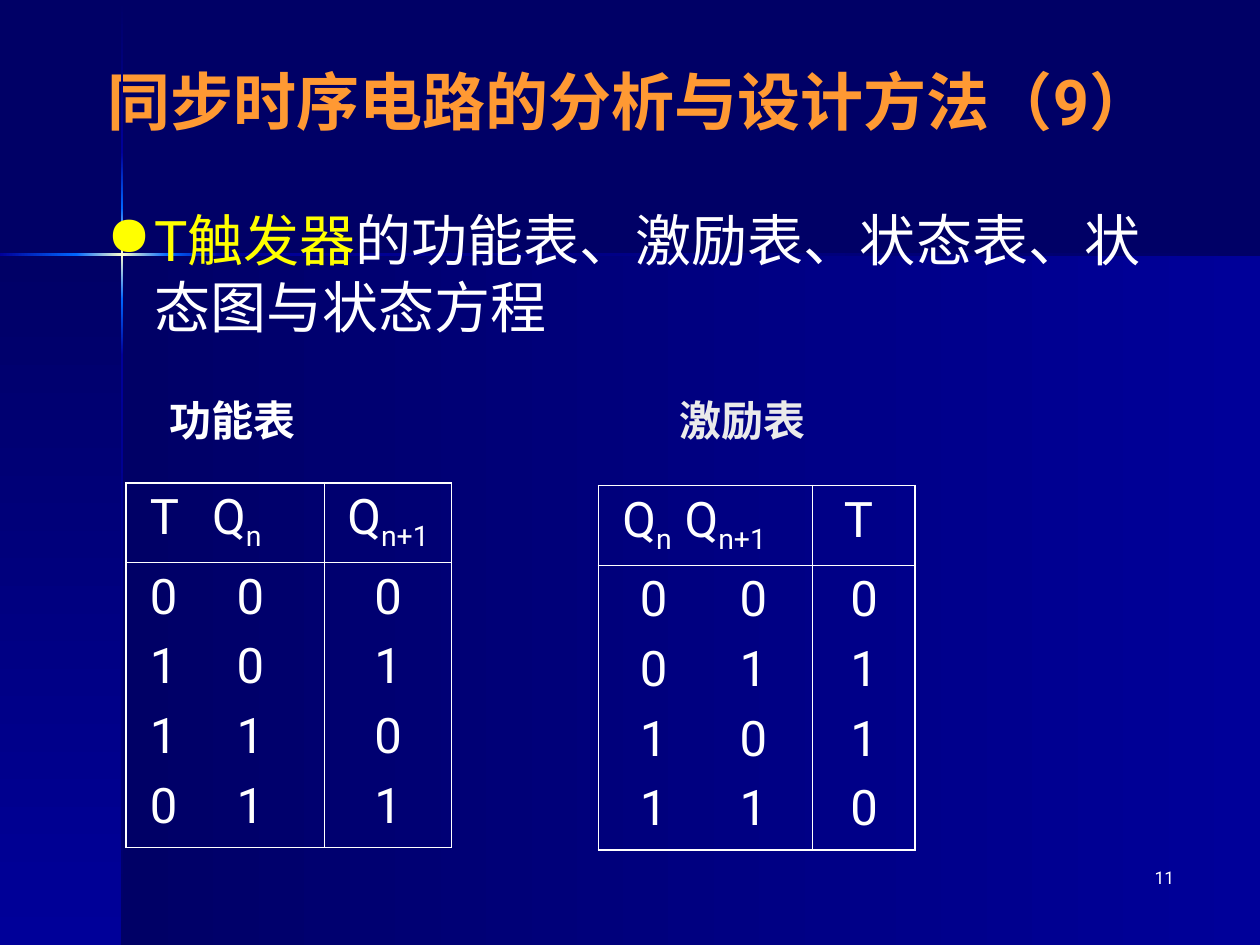
from lxml import etree
from pptx import Presentation
from pptx.dml.color import RGBColor
from pptx.enum.shapes import MSO_SHAPE
from pptx.enum.text import MSO_ANCHOR, PP_ALIGN
from pptx.oxml.ns import qn
from pptx.util import Pt
from copy import deepcopy

RECTANGLE = MSO_SHAPE.RECTANGLE
MIDDLE = MSO_ANCHOR.MIDDLE
LEFT, CENTER, RIGHT = PP_ALIGN.LEFT, PP_ALIGN.CENTER, PP_ALIGN.RIGHT

NAVY = RGBColor(0x00, 0x00, 0x66)
BLUE = RGBColor(0x00, 0x00, 0x99)
BRIGHT = RGBColor(0x00, 0x66, 0xFF)
CREAM = RGBColor(0xFF, 0xFF, 0xCC)
WHITE = RGBColor(0xFF, 0xFF, 0xFF)
PALE = RGBColor(0xEA, 0xEA, 0xEA)
YELLOW = RGBColor(0xFF, 0xFF, 0x00)
ORANGE = RGBColor(0xFF, 0x99, 0x33)

WIDTH, HEIGHT = 720, 540
CROSS_X, CROSS_Y, RAY = 69.75, 145.5, 1.5
OUTER, INNER = 1.08, 0.45
CELL = {"name": "Roboto", "size": Pt(28), "color": WHITE}


def add_run(paragraph, text, style, subscript=False):
    run = paragraph.add_run()
    run.text = text
    for key, value in style.items():
        if key == "color":
            run.font.color.rgb = value
        else:
            setattr(run.font, key, value)
    if subscript:
        run._r.get_or_add_rPr().set("baseline", "-25000")


def add_panel(slide, left, top, width, height, colours, vertical):
    """Rectangle with evenly spaced gradient colours."""
    panel = slide.shapes.add_shape(
        RECTANGLE, Pt(left), Pt(top), Pt(width), Pt(height))
    panel.shadow.inherit = False
    panel.line.fill.background()
    panel.fill.gradient()
    panel.fill.gradient_angle = 270 if vertical else 0
    stop_list = panel._element.spPr.find(".//" + qn("a:gsLst"))
    for _ in colours[2:]:
        stop_list.append(deepcopy(stop_list[-1]))
    for i, (stop, colour) in enumerate(zip(panel.fill.gradient_stops, colours)):
        stop.color.rgb = colour
        stop.position = i / (len(colours) - 1)


def add_ray(slide, ends, vertical):
    """Thin line that fades in, glows and fades out along one axis."""
    phases = [(NAVY, BLUE), (BLUE, BRIGHT), (BRIGHT, CREAM, BRIGHT),
              (BRIGHT, BLUE), (BLUE, NAVY)]
    for start, end, colours in zip(ends, ends[1:], phases):
        if start == end:
            continue
        if vertical:
            box = (CROSS_X - RAY / 2, start, RAY, end - start)
        else:
            box = (start, CROSS_Y - RAY / 2, end - start, RAY)
        add_panel(slide, *box, colours, vertical)


def add_text(slide, left, top, width, height, runs, align=LEFT):
    box = slide.shapes.add_textbox(Pt(left), Pt(top), Pt(width), Pt(height))
    box.text_frame.word_wrap = True
    paragraph = box.text_frame.paragraphs[0]
    paragraph.alignment = align
    for text, style in runs:
        add_run(paragraph, text, style)
    return paragraph


def add_bullet(paragraph, colour, indent):
    properties = paragraph._p.get_or_add_pPr()
    properties.set("marL", str(Pt(indent)))
    properties.set("indent", str(-Pt(indent)))
    bullet_colour = etree.SubElement(properties, qn("a:buClr"))
    etree.SubElement(bullet_colour, qn("a:srgbClr"), val=str(colour))
    etree.SubElement(properties, qn("a:buChar"), char="●")


def add_tabs(paragraph, stops):
    tabs = etree.SubElement(paragraph._p.get_or_add_pPr(), qn("a:tabLst"))
    for stop in stops:
        etree.SubElement(tabs, qn("a:tab"), pos=str(Pt(stop)), algn="l")


def set_borders(cell, row, column):
    """Heavier lines outside, finer lines between the cells."""
    edges = {"L": column == 0, "R": column == 1, "T": row == 0, "B": row == 1}
    properties = cell._tc.get_or_add_tcPr()
    for side, is_outer in edges.items():
        line = etree.SubElement(properties, qn("a:ln" + side),
                                w=str(Pt(OUTER if is_outer else INNER)))
        fill = etree.SubElement(line, qn("a:solidFill"))
        etree.SubElement(fill, qn("a:srgbClr"), val=str(WHITE))


def add_truth_table(slide, left, top, widths, cells, tab_stops):
    """cells: rows of cells; a cell is a list of lines; a line is a list of
    strings in which every second one is a subscript."""
    heights = (45.5, 162.5)
    table = slide.shapes.add_table(
        2, 2, Pt(left), Pt(top), Pt(sum(widths)), Pt(sum(heights))).table
    table.first_row = table.horz_banding = False
    for column, width in zip(table.columns, widths):
        column.width = Pt(width)
    for r, row_cells in enumerate(cells):
        table.rows[r].height = Pt(heights[r])
        for c, lines in enumerate(row_cells):
            cell = table.cell(r, c)
            set_borders(cell, r, c)
            cell.fill.background()
            for i, pieces in enumerate(lines):
                frame = cell.text_frame
                paragraph = frame.add_paragraph() if i else frame.paragraphs[0]
                if c == 0:
                    add_tabs(paragraph, tab_stops[r])
                paragraph.alignment = CENTER if c else LEFT
                if i:
                    paragraph.space_before = Pt(7)
                for k, piece in enumerate(pieces):
                    add_run(paragraph, piece, CELL, subscript=k % 2 == 1)


def input_lines(pairs):
    return [["\t" + "\t".join(pair)] for pair in pairs]


def main():
    deck = Presentation()
    deck.slide_width, deck.slide_height = Pt(WIDTH), Pt(HEIGHT)
    slide = deck.slides.add_slide(deck.slide_layouts[5])

    # Background panels and the glowing cross
    slide.background.fill.solid()
    slide.background.fill.fore_color.rgb = NAVY
    below = HEIGHT - CROSS_Y
    add_panel(slide, CROSS_X, CROSS_Y, WIDTH - CROSS_X, below, (NAVY, BLUE), False)
    add_panel(slide, 0, CROSS_Y, CROSS_X, below, (NAVY, BLUE), True)
    add_ray(slide, (0, 87, 119, 171, 203, HEIGHT), True)
    add_ray(slide, (0, 0, 43.5, 96, 127.5, WIDTH), False)

    # Title
    title = slide.shapes.title
    title_format = {"left": Pt(24), "top": Pt(32), "width": Pt(672), "height": Pt(51)}
    for key, value in title_format.items():
        setattr(title, key, value)
    title.text_frame.vertical_anchor = MIDDLE
    heading = title.text_frame.paragraphs[0]
    heading.alignment = CENTER
    add_run(heading, "同步时序电路的分析与设计方法（9）",
            {"name": "Roboto", "size": Pt(36), "bold": True, "color": ORANGE})

    # Topic and page number
    topic_style = {"name": "Roboto", "size": Pt(32)}
    topic = add_text(slide, 54, 114, 624, 96, [
        ("T触发器", {**topic_style, "color": YELLOW}),
        ("的功能表、激励表、状态表、状态图与状态方程",
         {**topic_style, "color": WHITE})])
    add_bullet(topic, YELLOW, 27)
    add_text(slide, 528, 492, 150, 36,
             [("11", {**CELL, "size": Pt(10)})], RIGHT)

    # Table captions
    for left, caption, colour in ((90, "功能表", WHITE), (381, "激励表", PALE)):
        add_text(slide, left, 222, 96, 36, [
            (caption, {"name": "Cambria", "size": Pt(24), "bold": True,
                       "color": colour})])

    # Function table and excitation table
    add_truth_table(
        slide, 72, 276, (113.5, 72.5),
        [[[["\tT\tQ", "n"]], [["Q", "n+1"]]],
         [input_lines(["00", "10", "11", "01"]), [[q] for q in "0101"]]],
        [(6.5, 42), (6.5, 56)])
    add_truth_table(
        slide, 342, 277.5, (122.5, 58.5),
        [[[["\tQ", "n", "\tQ", "n+1"]], [["T "]]],
         [input_lines(["00", "01", "10", "11"]), [[t] for t in "0110"]]],
        [(6.5, 42), (16.5, 73.5)])

    deck.save("out.pptx")


if __name__ == "__main__":
    main()
